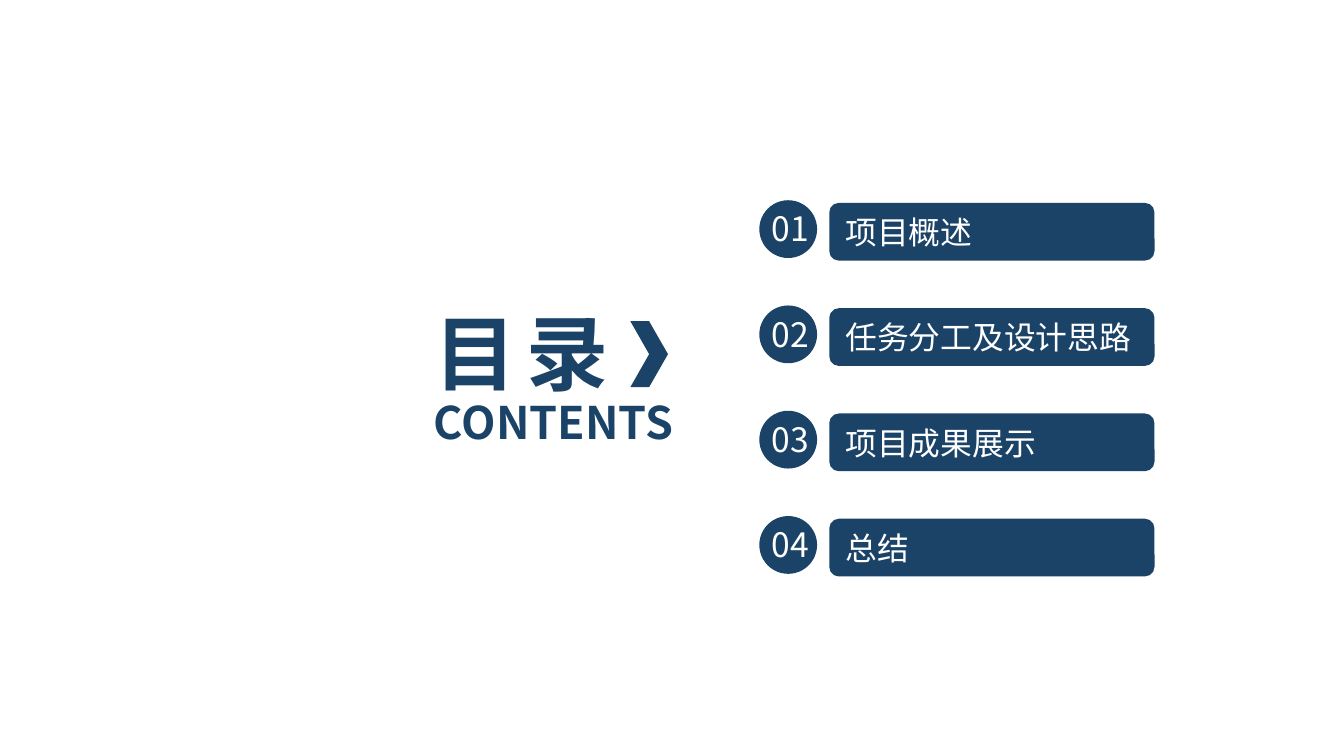
from pptx import Presentation
from pptx.dml.color import RGBColor
from pptx.enum.shapes import MSO_SHAPE as Preset
from pptx.enum.text import MSO_ANCHOR as Anchor, MSO_AUTO_SIZE as AutoSize, PP_ALIGN as Align
from pptx.oxml.ns import qn
from pptx.util import Inches, Pt

NAVY = "1B4367"
WHITE = "FFFFFF"
FONT = "Noto Sans CJK SC"
SECTIONS = ["项目概述", "任务分工及设计思路", "项目成果展示", "总结"]
FIRST_TOP = 1.51
PITCH = (3.86 - FIRST_TOP) / 3


def color(value):
    return RGBColor.from_string(value)


def write(shape, text, size, ink=NAVY, bold=False, align=Align.LEFT, spacing=None):
    frame = shape.text_frame
    frame.auto_size = AutoSize.NONE
    frame.word_wrap = True
    frame.vertical_anchor = Anchor.MIDDLE
    paragraph = frame.paragraphs[0]
    paragraph.alignment = align
    run = paragraph.add_run()
    run.text = text
    run.font.size = Pt(size)
    run.font.bold = bold
    run.font.color.rgb = color(ink)
    run.font.name = FONT
    properties = run.font._element
    east_asian = properties.makeelement(qn("a:ea"), {"typeface": FONT})
    properties.find(qn("a:latin")).addnext(east_asian)
    if spacing is not None:
        properties.set("spc", str(round(spacing * 100)))


class ContentsSlide:
    def __init__(self, presentation):
        self.fill = NAVY
        self.slide = presentation.slides.add_slide(presentation.slide_layouts[5])

    def title(self, box, text, **style):
        shape = self.slide.shapes.title
        shape.left, shape.top, shape.width, shape.height = map(Inches, box)
        write(shape, text, **style)

    def label(self, box, text, parent=None, **style):
        shapes = (parent or self.slide).shapes
        write(shapes.add_textbox(*map(Inches, box)), text, **style)

    def block(self, preset, box, parent=None):
        shapes = (parent or self.slide).shapes
        shape = shapes.add_shape(preset, *map(Inches, box))
        shape.shadow.inherit = False
        shape.fill.solid()
        shape.fill.fore_color.rgb = color(self.fill)
        shape.line.fill.background()
        return shape

    def section(self, number, text, top):
        bar = self.block(Preset.ROUNDED_RECTANGLE, (6.17, top, 2.42, 0.43))
        write(bar, text, size=17, ink=WHITE)
        badge = self.slide.shapes.add_group_shape()
        self.block(Preset.OVAL, (5.65, top - 0.02, 0.43, 0.43), badge)
        self.label((5.62, top - 0.01, 0.52, 0.4), f"{number:02d}", badge,
                   size=18, ink=WHITE, align=Align.CENTER)


def main():
    presentation = Presentation()
    presentation.slide_width = Inches(10)
    presentation.slide_height = presentation.slide_width * 9 // 16
    contents = ContentsSlide(presentation)
    contents.title((3.13, 2.2, 2.35, 0.84), "目 录", size=44, bold=True, spacing=-2.2)
    contents.label((3.13, 2.89, 2.31, 0.5), "CONTENTS", size=24, bold=True)
    contents.block(Preset.CHEVRON, (4.69, 2.39, 0.28, 0.49))
    for index, text in enumerate(SECTIONS):
        contents.section(index + 1, text, FIRST_TOP + index * PITCH)
    presentation.save("out.pptx")


if __name__ == "__main__":
    main()
